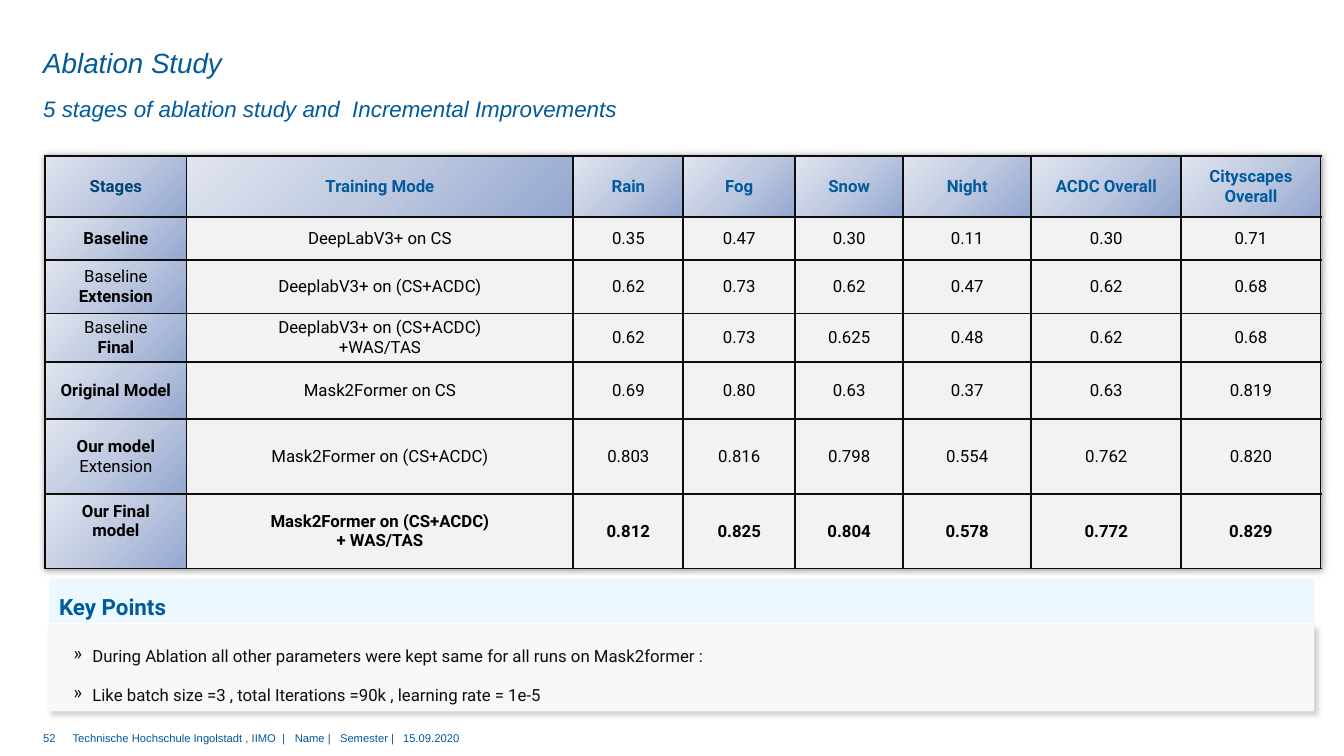
import dataclasses
import typing

import lxml.etree
import pptx
import pptx.dml.color
import pptx.enum.shapes
import pptx.enum.text
import pptx.oxml.ns
import pptx.util

Cm = pptx.util.Cm
Pt = pptx.util.Pt
Align = pptx.enum.text.PP_ALIGN
Anchor = pptx.enum.text.MSO_ANCHOR

BLUE, NAVY, BLACK = "005A9B", "004474", "000000"
HEADER_GRADIENT = ((0, "94A7D0"), (50, "BFC9E0"), (100, "E0E5EF"))
COLUMN_WIDTHS = (3.56, 9.75, 2.77, 2.82, 2.72, 3.23, 3.78, 3.51)
HEADER_HEIGHT = 1.52
HEADINGS = ("Stages", "Training Mode", "Rain", "Fog", "Snow", "Night",
            "ACDC Overall", "Cityscapes Overall")


@dataclasses.dataclass(frozen=True)
class Stage:
    name: str
    bold_lines: tuple[bool, ...]
    training: str
    scores: str
    height: float
    final: bool = False


@dataclasses.dataclass(frozen=True)
class Label:
    text: str
    left: float
    top: float
    width: float
    height: float
    size: float
    italic: bool = False
    line_spacing: float = 1.0
    anchor: Anchor = Anchor.TOP
    tabs: tuple[float, ...] = ()


STAGES = (
    Stage("Baseline", (True,), "DeepLabV3+ on CS",
          "0.35 0.47 0.30 0.11 0.30 0.71", 1.09),
    Stage("Baseline\nExtension", (False, True), "DeeplabV3+ on (CS+ACDC)",
          "0.62 0.73 0.62 0.47 0.62 0.68", 1.35),
    Stage("Baseline\nFinal", (False, True), "DeeplabV3+ on (CS+ACDC)\n+WAS/TAS",
          "0.62 0.73 0.625 0.48 0.62 0.68", 1.21),
    Stage("Original Model", (True,), "Mask2Former on CS",
          "0.69 0.80 0.63 0.37 0.63 0.819", 1.45),
    Stage("Our model\nExtension", (True, False), "Mask2Former on (CS+ACDC)",
          "0.803 0.816 0.798 0.554 0.762 0.820", 1.88),
    Stage("Our Final\nmodel", (True, True), "Mask2Former on (CS+ACDC)\n+ WAS/TAS",
          "0.812 0.825 0.804 0.578 0.772 0.829", 1.88, final=True),
)
LABELS = (
    Label("Technische Hochschule Ingolstadt , IIMO\t|\tName |\tSemester |\t15.09.2020",
          1.83, 18.42, 22.8, 0.69, 8, tabs=(5.28, 5.6, 6.74, 8.33)),
    Label("Ablation Study", 1.09, 1.12, 27.1, 0.91, 19.8, True, anchor=Anchor.MIDDLE),
    Label("5 stages of ablation study and  Incremental Improvements",
          1.09, 2.06, 27.1, 0.94, 16, True, 1.5),
    Label("52", 1.09, 18.42, 0.71, 0.58, 8),
)
KEY_POINTS = (
    "During Ablation all other parameters were kept same for all runs on Mask2former :",
    "Like batch size =3 , total Iterations =90k , learning rate = 1e-5",
)


def rgb(color: str) -> pptx.dml.color.RGBColor:
    return pptx.dml.color.RGBColor.from_string(color)


def add_xml(parent: typing.Any, tag: str, **attributes: typing.Any) -> typing.Any:
    return lxml.etree.SubElement(parent, pptx.oxml.ns.qn(f"a:{tag}"),
                                 {key: str(value) for key, value in attributes.items()})


def add_shadow(properties: typing.Any, opacity: int, blur: float,
               distance: float, angle: int) -> typing.Any:
    effects = add_xml(properties, "effectLst")
    shadow = add_xml(effects, "outerShdw", blurRad=Pt(blur), dist=Pt(distance),
                     dir=angle * 60000, algn="ctr", rotWithShape=0)
    add_xml(add_xml(shadow, "srgbClr", val=BLACK), "alpha", val=opacity * 1000)
    return effects


def style(paragraph: typing.Any, font: str, size: float, color: str,
          bold: bool = False, italic: bool = False) -> None:
    for run in paragraph.runs:
        run.font.name, run.font.size = font, Pt(size)
        run.font.bold, run.font.italic = bold, italic
        run.font.color.rgb = rgb(color)


def add_label(slide: typing.Any, label: Label) -> None:
    box = slide.shapes.add_textbox(Cm(label.left), Cm(label.top),
                                   Cm(label.width), Cm(label.height))
    frame = box.text_frame
    frame.word_wrap = True
    frame.vertical_anchor = label.anchor
    frame.margin_left = frame.margin_right = frame.margin_top = frame.margin_bottom = 0
    frame.text = label.text
    paragraph = frame.paragraphs[0]
    paragraph.line_spacing = label.line_spacing
    if label.tabs:
        stops = add_xml(paragraph._p.get_or_add_pPr(), "tabLst")
        for position in label.tabs:
            add_xml(stops, "tab", pos=Cm(position), algn="l")
    style(paragraph, "Arial", label.size, BLUE, italic=label.italic)


def fill_cell(cell: typing.Any, text: str, color: str, bold_lines: tuple[bool, ...],
              gradient: bool) -> None:
    cell.text_frame.text = text
    cell.vertical_anchor = Anchor.MIDDLE
    cell.margin_left = cell.margin_right = Cm(0.23)
    cell.margin_top = cell.margin_bottom = Cm(0.1)
    for paragraph, bold in zip(cell.text_frame.paragraphs, bold_lines):
        paragraph.alignment = Align.CENTER
        style(paragraph, "Roboto", 12, color, bold)
    properties = cell._tc.get_or_add_tcPr()
    for side in "LRTB":
        border = add_xml(properties, f"ln{side}", w=Pt(1.5))
        add_xml(add_xml(border, "solidFill"), "srgbClr", val="0D0D0D")
    if not gradient:
        cell.fill.solid()
        cell.fill.fore_color.rgb = rgb("F2F2F2")
        return
    shading = add_xml(properties, "gradFill", rotWithShape=1)
    stops = add_xml(shading, "gsLst")
    for position, stop_color in HEADER_GRADIENT:
        add_xml(add_xml(stops, "gs", pos=position * 1000), "srgbClr", val=stop_color)
    add_xml(shading, "lin", ang=225 * 60000, scaled=0)


def add_results(slide: typing.Any) -> None:
    heights = [HEADER_HEIGHT] + [stage.height for stage in STAGES]
    results = slide.shapes.add_table(
        len(heights), len(COLUMN_WIDTHS), Cm(1.14), Cm(3.94),
        Cm(sum(COLUMN_WIDTHS)), Cm(sum(heights))).table
    results.first_row = results.horz_banding = False
    table_properties = results._tbl.tblPr
    table_properties.insert(0, add_shadow(table_properties, 40, 5, 0, 0))
    for column, width in zip(results.columns, COLUMN_WIDTHS):
        column.width = Cm(width)
    for row, height in zip(results.rows, heights):
        row.height = Cm(height)
    for index, heading in enumerate(HEADINGS):
        fill_cell(results.cell(0, index), heading, BLUE if index else NAVY, (True,), True)
    for row_index, stage in enumerate(STAGES, 1):
        fill_cell(results.cell(row_index, 0), stage.name, BLACK, stage.bold_lines, True)
        for index, text in enumerate((stage.training, *stage.scores.split()), 1):
            fill_cell(results.cell(row_index, index), text, BLACK, (stage.final,) * 2, False)
    results.cell(len(STAGES), 0).margin_bottom = Cm(0.6)


def add_panel(slide: typing.Any, left: float, top: float, width: float,
              height: float, color: str) -> typing.Any:
    panel = slide.shapes.add_shape(pptx.enum.shapes.MSO_SHAPE.RECTANGLE,
                                   Cm(left), Cm(top), Cm(width), Cm(height))
    panel.fill.solid()
    panel.fill.fore_color.rgb = rgb(color)
    panel.line.fill.background()
    panel.text_frame.word_wrap = True
    return panel


def add_key_points(slide: typing.Any) -> None:
    body = add_panel(slide, 1.22, 15.72, 31.9, 2.21, "F8F8F8")
    add_shadow(body._element.spPr, 18, 4, 3, 45)
    frame = body.text_frame
    frame.vertical_anchor = Anchor.TOP
    frame.margin_left = frame.margin_right = Cm(0.25)
    frame.margin_top = frame.margin_bottom = Cm(0.3)
    frame.text = "\n".join(KEY_POINTS)
    for point in frame.paragraphs:
        point.alignment, point.line_spacing, point.space_after = Align.LEFT, 1.5, Pt(6)
        properties = point._p.get_or_add_pPr()
        properties.set("marL", str(Cm(0.86)))
        properties.set("indent", str(Cm(-0.48)))
        add_xml(properties, "buChar", char="»")
        style(point, "Roboto", 12, "0D0D0D")

    banner = add_panel(slide, 1.24, 14.58, 31.88, 1.12, "B8E1FF")
    banner.shadow.inherit = False
    tint = banner._element.spPr.find(".//" + pptx.oxml.ns.qn("a:srgbClr"))
    add_xml(tint, "alpha", val=26000)
    banner.text_frame.vertical_anchor = Anchor.MIDDLE
    banner.text_frame.text = "Key Points"
    heading = banner.text_frame.paragraphs[0]
    heading.alignment, heading.line_spacing, heading.space_after = Align.LEFT, 1.4, Pt(6)
    style(heading, "Roboto", 16, BLUE, bold=True)


def main() -> None:
    deck = pptx.Presentation()
    deck.slide_width, deck.slide_height = Cm(33.87), Cm(19.05)
    slide = deck.slides.add_slide(deck.slide_layouts[6])
    for label in LABELS:
        add_label(slide, label)
    add_results(slide)
    add_key_points(slide)
    deck.save("out.pptx")


if __name__ == "__main__":
    main()
